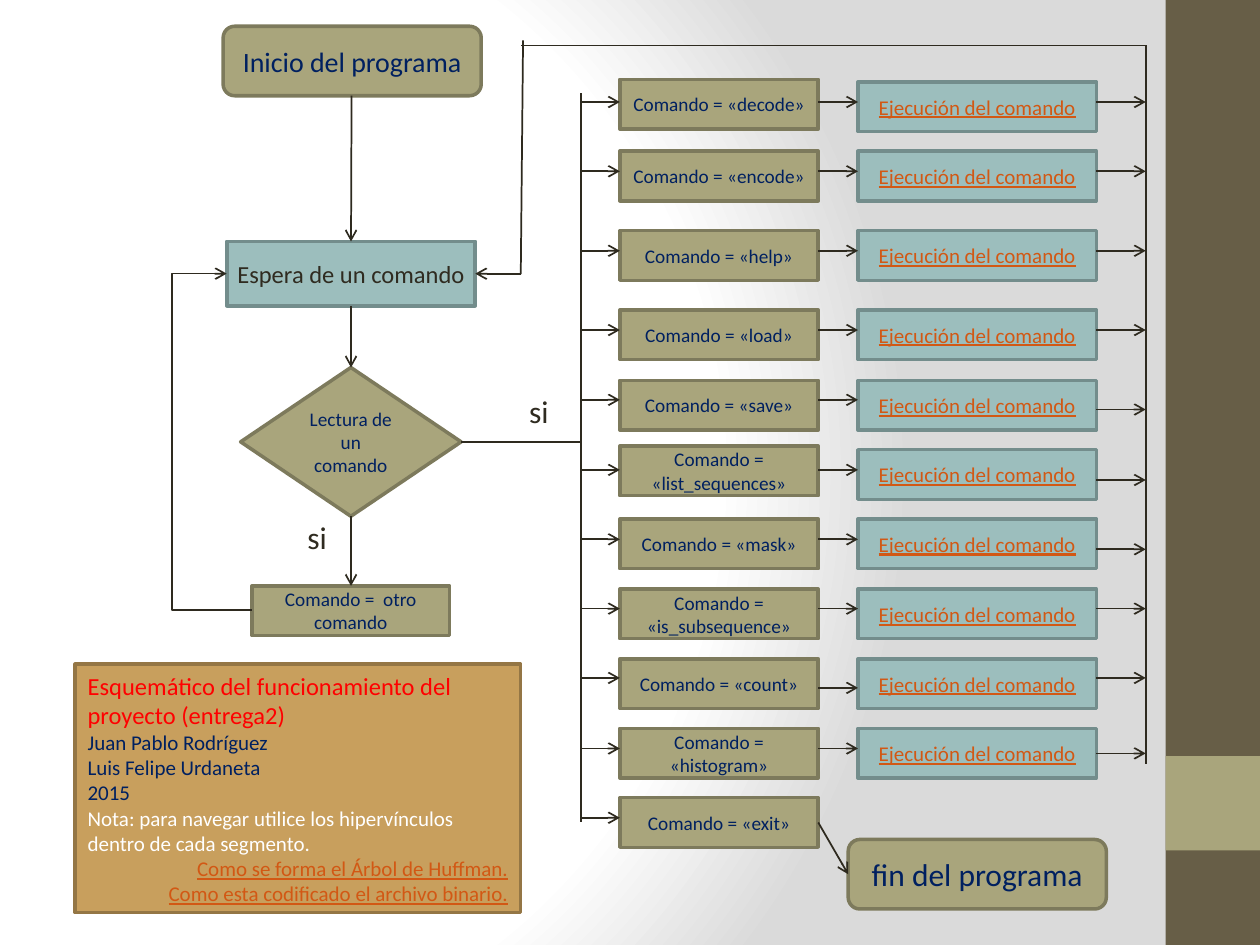
"""Flowchart of a command-driven program with one row per command."""
from lxml import etree
from pptx import Presentation
from pptx.dml.color import RGBColor
from pptx.enum.shapes import MSO_CONNECTOR, MSO_SHAPE
from pptx.enum.text import MSO_ANCHOR, PP_ALIGN
from pptx.oxml import parse_xml
from pptx.oxml.ns import nsdecls, qn
from pptx.util import Pt

RECT, DIAMOND = MSO_SHAPE.RECTANGLE, MSO_SHAPE.DIAMOND
ROUND = MSO_SHAPE.FLOWCHART_ALTERNATE_PROCESS
STRAIGHT, ELBOW = MSO_CONNECTOR.STRAIGHT, MSO_CONNECTOR.ELBOW
LEFT, CENTER, RIGHT = PP_ALIGN.LEFT, PP_ALIGN.CENTER, PP_ALIGN.RIGHT
MIDDLE = MSO_ANCHOR.MIDDLE
BROWN = RGBColor(0x67, 0x5E, 0x47)
OLIVE = RGBColor(0xA9, 0xA5, 0x7C)
MOSS = RGBColor(0x7D, 0x7A, 0x5C)
TEAL = RGBColor(0x9C, 0xBE, 0xBD)
SLATE = RGBColor(0x73, 0x8D, 0x8C)
SAND = RGBColor(0xC8, 0x9F, 0x5D)
OCHRE = RGBColor(0x94, 0x76, 0x45)
NAVY = RGBColor(0x00, 0x20, 0x60)
INK = RGBColor(0x2F, 0x2B, 0x20)
DARK = RGBColor(0x2E, 0x2A, 0x1F)
RED = RGBColor(0xFF, 0x00, 0x00)
WHITE = RGBColor(0xFF, 0xFF, 0xFF)
ORANGE = RGBColor(0xD2, 0x58, 0x14)

deck = Presentation()
deck.slide_width, deck.slide_height = Pt(720), Pt(540)
slide = deck.slides.add_slide(deck.slide_layouts[6])
shapes = slide.shapes

slide.background.fill.solid()
back = slide.element.find(".//" + qn("p:bgPr"))
back.replace(back[0], parse_xml(
    f'<a:gradFill {nsdecls("a")} rotWithShape="1"><a:gsLst>'
    '<a:gs pos="0"><a:srgbClr val="FFFFFF"/></a:gs>'
    '<a:gs pos="75000"><a:srgbClr val="FFFFFF"/></a:gs>'
    '<a:gs pos="100000"><a:srgbClr val="DADADA"/></a:gs></a:gsLst>'
    '<a:path path="circle"><a:fillToRect l="20000" t="50000" r="100000" b="50000"/>'
    '</a:path></a:gradFill>'))


def box(kind, x, y, w, h, fill, edge, paras, side=7.2):
    """Add a filled shape; each para is text, size, colour, align, underline."""
    shape = shapes.add_shape(kind, Pt(x), Pt(y), Pt(w), Pt(h))
    shape.shadow.inherit = False
    shape.fill.solid()
    shape.fill.fore_color.rgb = fill
    if edge is None:
        shape.line.fill.background()
    else:
        shape.line.color.rgb = edge
        shape.line.width = Pt(2)
    frame = shape.text_frame
    frame.word_wrap = True
    frame.vertical_anchor = MIDDLE
    frame.margin_left = frame.margin_right = Pt(side)
    frame.margin_top = frame.margin_bottom = Pt(0)
    for i, (text, size, color, align, under) in enumerate(paras):
        para = frame.add_paragraph() if i else frame.paragraphs[0]
        para.text = text
        para.alignment = align
        for run in para.runs:
            run.font.name = "Calibri"
            run.font.size = Pt(size)
            run.font.color.rgb = color
            if under:
                run.font.underline = True
        for gap in para._p.findall(qn("a:br")):
            etree.SubElement(gap, qn("a:rPr")).set("sz", str(size * 100))


def link(x1, y1, x2, y2, arrow=True, kind=STRAIGHT):
    """Add a thin line, with an arrowhead at its end unless told otherwise."""
    line = shapes.add_connector(kind, Pt(x1), Pt(y1), Pt(x2), Pt(y2))
    line.line.color.rgb = DARK
    line.line.width = Pt(1)
    if arrow:
        tip = etree.SubElement(line.line._get_or_add_ln(), qn("a:tailEnd"))
        tip.set("type", "arrow")
    etree.SubElement(line._element.spPr, qn("a:effectLst"))
    return line


box(RECT, 666, 0, 54, 540, BROWN, None, [])
box(RECT, 666, 432, 54, 54, OLIVE, None, [])

box(RECT, 43, 379.5, 254.5, 142, SAND, OCHRE, [
    ("Esquemático del funcionamiento del proyecto (entrega2)", 14, RED, LEFT, False),
    ("Juan Pablo Rodríguez", 12, NAVY, LEFT, False),
    ("Luis Felipe Urdaneta", 12, NAVY, LEFT, False),
    ("2015", 12, NAVY, LEFT, False),
    ("Nota: para navegar utilice los hipervínculos dentro de cada segmento.",
     12, WHITE, LEFT, False),
    ("Como se forma el Árbol de Huffman.\vComo esta codificado el archivo binario.",
     12, ORANGE, RIGHT, True),
])

steps = [
    (ROUND, 127.5, 15, 147.5, 39.7, OLIVE, MOSS, "Inicio del programa", 16, NAVY),
    (RECT, 129.6, 138, 142, 36.8, TEAL, SLATE, "Espera de un comando", 14, INK),
    (DIAMOND, 137.5, 210, 126, 85, OLIVE, MOSS, "Lectura de un comando", 11, NAVY),
    (RECT, 144, 334.8, 113, 28.4, OLIVE, MOSS, "Comando =  otro comando", 11, NAVY),
    (ROUND, 484.7, 479.7, 147.5, 39.7, OLIVE, MOSS, "fin del programa", 18, NAVY),
]
for kind, x, y, w, h, fill, edge, text, size, color in steps:
    box(kind, x, y, w, h, fill, edge, [(text, size, color, CENTER, False)], 3.6)

BUS, CMD, RUN, BACK = 332, 354.2, 490.3, 654.7
CMD_W, RUN_W, ROW_H = 113.4, 136.2, 28.4
rows = [
    ("decode", 45.4, 46.8, 58.3, 58.3, 58.3),
    ("encode", 86.4, 86.4, 97.9, 97.9, 97.9),
    ("help", 131.8, 131.8, 143.3, 143.3, 143.3),
    ("load", 177.1, 177.1, 188.6, 188.6, 188.6),
    ("save", 217.4, 217.4, 228.5, 228.5, 234),
    ("list_sequences", 254.9, 257, 268.5, 268.5, 274.3),
    ("mask", 296.6, 296.6, 308.2, 308.2, 313.9),
    ("is_subsequence", 336.6, 336.6, 347.8, 347.8, 347.8),
    ("count", 376.5, 376.5, 387.4, 393.1, 387.4),
    ("histogram", 416.2, 416.2, 427.7, 427.7, 430.5),
    ("exit", 455.8, None, 467.3, None, None),
]
for name, top, run_top, enter, mid, leave in rows:
    box(RECT, CMD, top, CMD_W, ROW_H, OLIVE, MOSS,
        [(f"Comando = «{name}»", 11, NAVY, CENTER, False)], 3.6)
    link(BUS, enter, CMD, enter)
    if run_top is not None:
        box(RECT, RUN, run_top, RUN_W, ROW_H, TEAL, SLATE,
            [("Ejecución del comando", 12, ORANGE, CENTER, True)])
        link(CMD + CMD_W, mid, RUN, mid)
        link(RUN + RUN_W, leave, BACK, leave)

AXIS = 200.6
for line in [
    (AXIS + 0.3, 54.7, AXIS, 138), (AXIS, 174.8, AXIS, 210), (AXIS, 295, AXIS, 334.8),
    (CMD + CMD_W, 470, 484.7, 499.6), (297.6, 156.4, 271.6, 156.4),
    (263.5, 252.5, BUS, 252.5, False), (BUS, 53.3, BUS, 469.8, False),
    (297.6, 156.7, 298.9, 23.1, False), (BACK, 26, BACK, 436.8, False),
    (BACK, 26, 297.6, 26, False),
]:
    link(*line)

loop = link(144, 348.5, 129.6, 156.4, kind=ELBOW)
bend = etree.SubElement(loop._element.spPr.prstGeom.get_or_add_avLst(), qn("a:gd"))
bend.set("name", "adj1")
bend.set("fmla", "val 317400")

for x, y in [(168.5, 292.3), (295.2, 220.3)]:
    label = shapes.add_textbox(Pt(x), Pt(y), Pt(26), Pt(29))
    label.text_frame.word_wrap = False
    label.text_frame.text = "si"
    font = label.text_frame.paragraphs[0].runs[0].font
    font.name, font.size = "Calibri", Pt(18)
    font.color.rgb = INK

deck.save("out.pptx")
